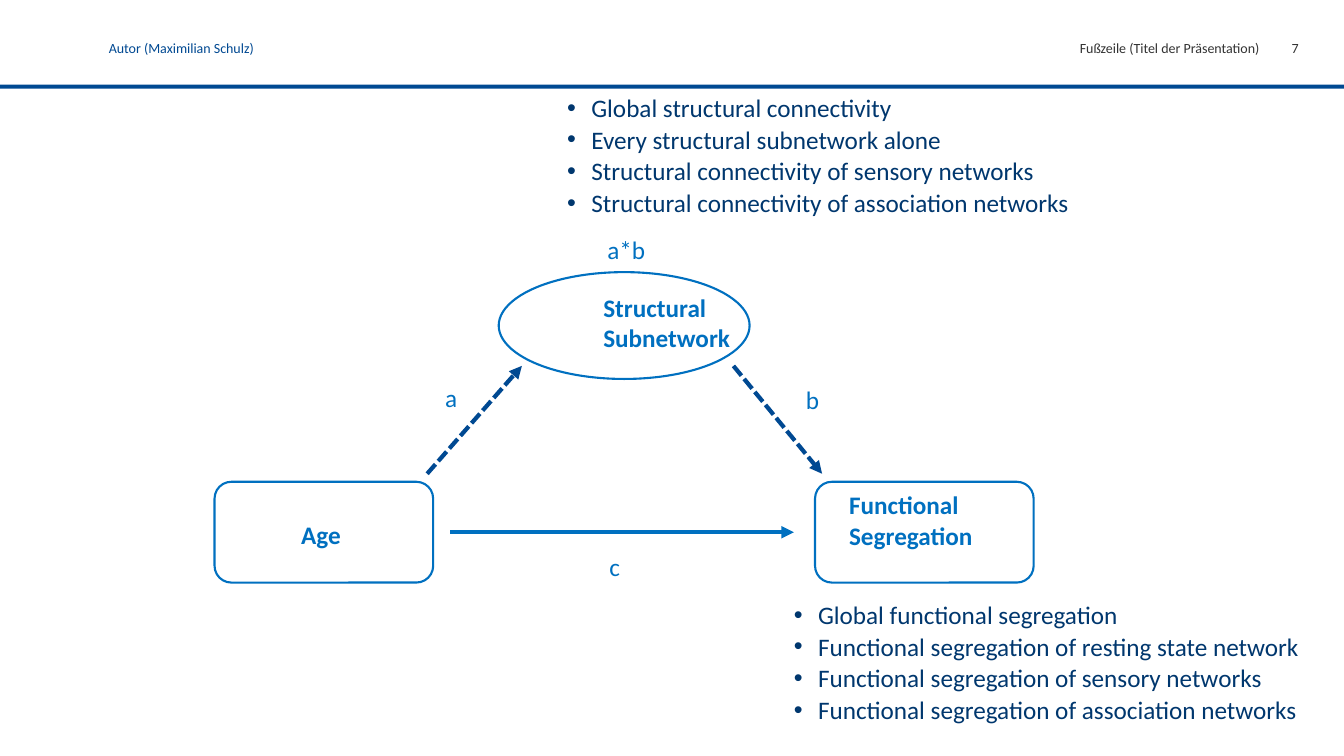
import pptx
import pptx.util
import pptx.dml.color
import pptx.enum.dml
import pptx.enum.shapes
import pptx.enum.text
from lxml import etree

Inches, Pt = pptx.util.Inches, pptx.util.Pt
RGBColor = pptx.dml.color.RGBColor
Shape = pptx.enum.shapes.MSO_SHAPE
Align = pptx.enum.text.PP_ALIGN
Dash = pptx.enum.dml.MSO_LINE

NAVY = RGBColor(0x00, 0x49, 0x92)
DEEP = RGBColor(0x00, 0x37, 0x6E)
BLUE = RGBColor(0x00, 0x70, 0xC0)
GRAY = RGBColor(0x33, 0x33, 0x33)

HEADS = [
    ("Autor (Maximilian Schulz)", 1.08, 3.31, NAVY, Align.LEFT),
    ("Fußzeile (Titel der Präsentation)", 6.83, 5.67, GRAY, Align.RIGHT),
    ("7", 12.5, 0.39, GRAY, Align.RIGHT),
]
NODES = [
    (Shape.ROUNDED_RECTANGLE, (2.13, 4.78, 2.17, 1)),
    (Shape.ROUNDED_RECTANGLE, (8.09, 4.78, 2.17, 1)),
    (Shape.OVAL, (4.95, 2.7, 2.49, 1.06)),
]
ARROWS = [
    ((4.47, 5.28), (7.88, 5.28), BLUE, None),
    ((4.24, 4.7), (5.18, 3.63), NAVY, Dash.SQUARE_DOT),
    ((7.28, 3.63), (8.16, 4.7), NAVY, Dash.SQUARE_DOT),
]
LABELS = [
    ("Age", (2.89, 5.1, 1.33, 0.36), True),
    ("Functional Segregation", (8.33, 4.81, 1.57, 0.71), True),
    ("Structural Subnetwork", (5.89, 2.85, 2.09, 0.9), True),
    ("a", (4.32, 3.74, 0.58, 0.4), False),
    ("b", (7.9, 3.76, 0.58, 0.4), False),
    ("c", (5.95, 5.42, 0.58, 0.36), False),
    ("a*b", (5.93, 2.28, 0.58, 0.36), False),
]
LISTS = [
    ((5.63, 0.9, 5.14, 0.91), [
        "Global structural connectivity",
        "Every structural subnetwork alone",
        "Structural connectivity of sensory networks",
        "Structural connectivity of association networks",
    ]),
    ((7.88, 5.93, 5.4, 1.21), [
        "Global functional segregation",
        "Functional segregation of resting state network",
        "Functional segregation of sensory networks",
        "Functional segregation of association networks",
    ]),
]


def style(item, **form):
    for key, value in form.items():
        setattr(item, key, value)


def tag(node, name, **attrs):
    return etree.SubElement(node, pptx.oxml.ns.qn(name), attrs)


def write(slide, box, lines, size, color, bold=False, align=Align.LEFT,
          inset=None, bullet=False):
    frame = slide.shapes.add_textbox(*map(Inches, box)).text_frame
    frame.word_wrap = True
    if inset is not None:
        style(frame, margin_left=0, margin_right=0,
              margin_top=Inches(inset), margin_bottom=0)
    for i, line in enumerate(lines):
        para = frame.paragraphs[0] if i == 0 else frame.add_paragraph()
        para.text = line
        para.alignment = align
        if bullet:
            para.line_spacing = 1.05
            props = para._p.get_or_add_pPr()
            props.set("marL", str(Inches(0.24)))
            props.set("indent", str(-Inches(0.24)))
            tag(props, "a:buFont", typeface="Arial")
            tag(props, "a:buChar", char="•")
        font = para.runs[0].font
        style(font, name="Calibri", size=Pt(size), bold=bold)
        font.color.rgb = color


def shape(slide, kind, box):
    item = slide.shapes.add_shape(kind, *map(Inches, box))
    item.shadow.inherit = False
    return item


def arrow(slide, start, end, color, dash):
    item = slide.shapes.add_connector(
        pptx.enum.shapes.MSO_CONNECTOR.STRAIGHT, *map(Inches, start + end))
    style(item.line, width=Pt(3), dash_style=dash)
    item.line.color.rgb = color
    tag(item.line._get_or_add_ln(), "a:tailEnd", type="triangle")
    tag(item._element.spPr, "a:effectLst")


def main():
    deck = pptx.Presentation()
    style(deck, slide_width=Inches(13.34), slide_height=Inches(7.5))
    slide = deck.slides.add_slide(deck.slide_layouts[6])
    rule = shape(slide, Shape.RECTANGLE, (0, 0.84, 13.34, 0.04))
    rule.fill.solid()
    rule.fill.fore_color.rgb = NAVY
    rule.line.fill.background()
    for text, left, width, color, align in HEADS:
        write(slide, (left, 0.36, width, 0.24), [text], 10, color,
              align=align, inset=0.03)
    for kind, box in NODES:
        node = shape(slide, kind, box)
        node.fill.background()
        node.line.width = Pt(1.5)
        node.line.color.rgb = BLUE
    for item in ARROWS:
        arrow(slide, *item)
    for text, box, bold in LABELS:
        write(slide, box, [text], 18, BLUE, bold)
    for box, lines in LISTS:
        write(slide, box, lines, 18, DEEP, inset=0, bullet=True)
    deck.save("out.pptx")


if __name__ == "__main__":
    main()
